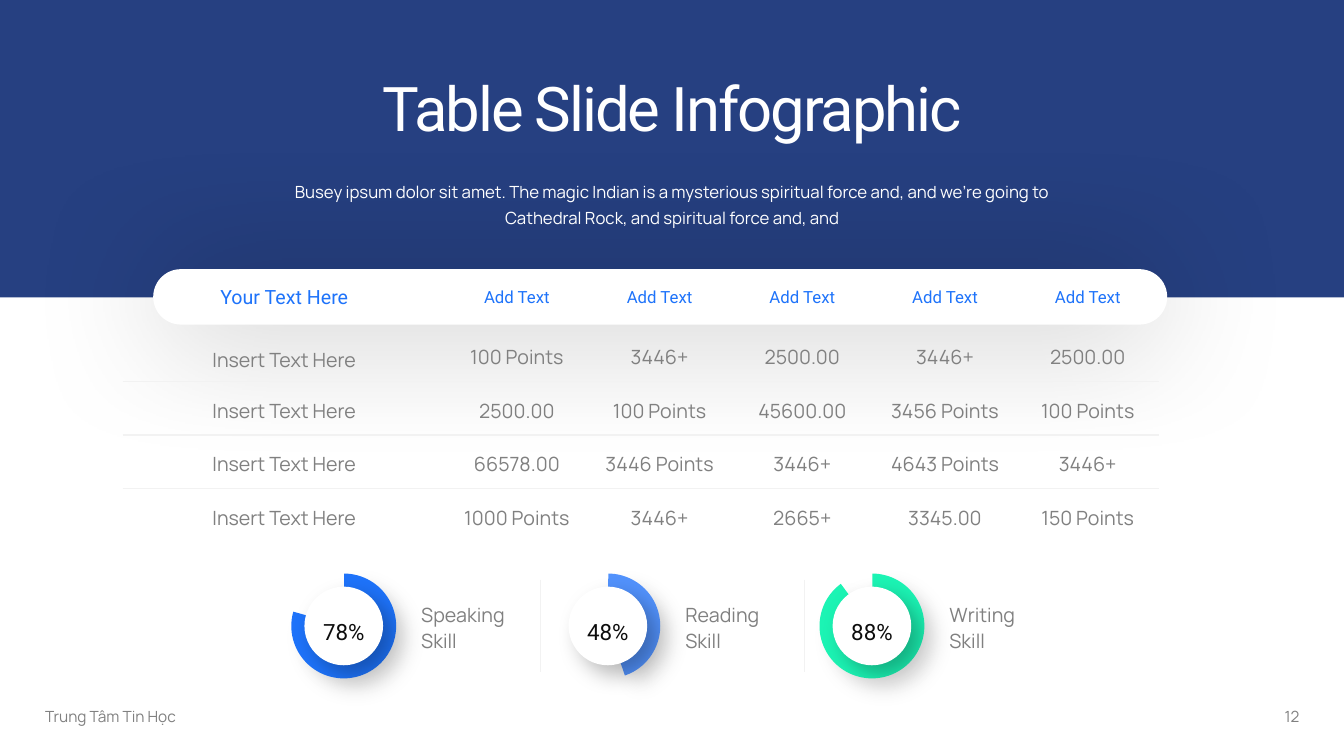
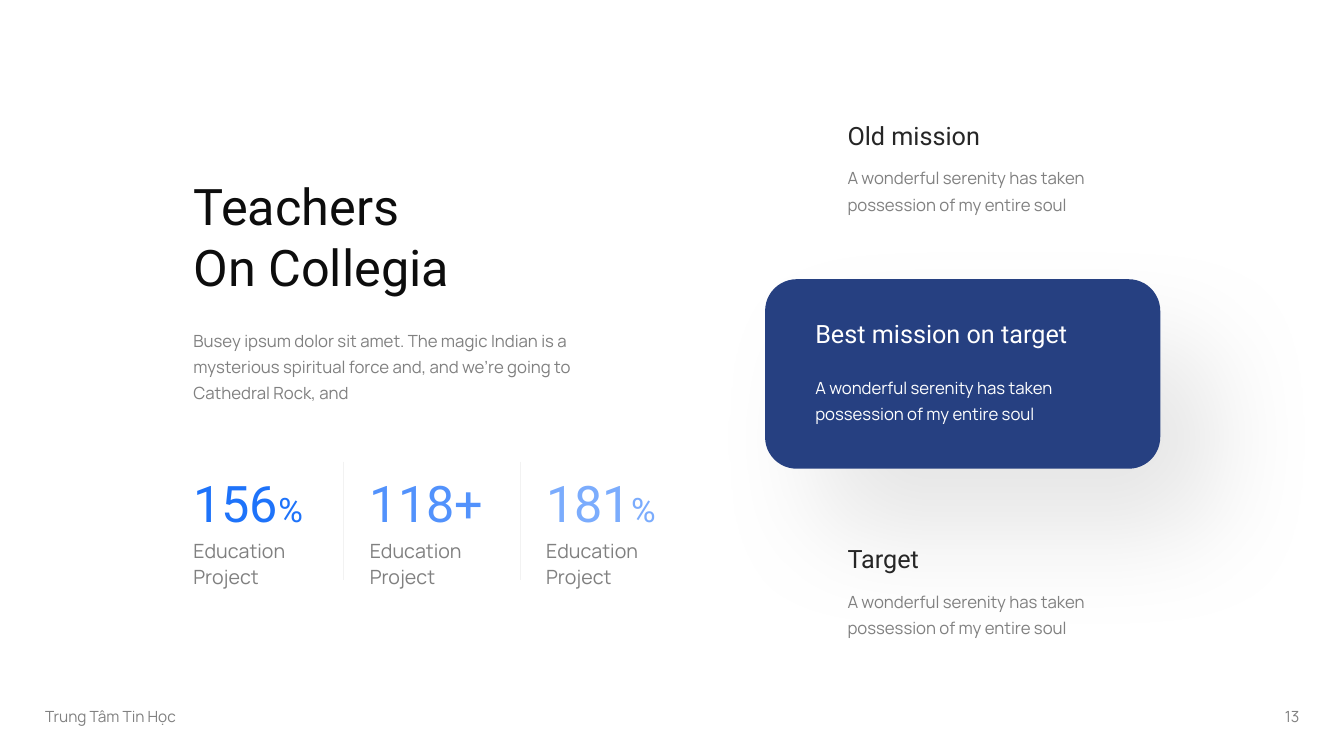
from lxml.etree import SubElement
from pptx import Presentation
from pptx.dml.color import RGBColor
from pptx.enum.shapes import MSO_CONNECTOR as Connector, MSO_SHAPE as Preset
from pptx.enum.text import MSO_ANCHOR as Anchor, MSO_AUTO_SIZE as AutoSize, PP_ALIGN as Align
from pptx.oxml import parse_xml
from pptx.oxml.ns import nsdecls, qn
from pptx.util import Inches, Pt

# Shared style
HEAD, BODY = "Roboto", "Manrope"
NAVY, BLUE, SKY, PALE, MINT = "264081", "1E73FA", "5292FC", "7BACFD", "1CF4B4"
WHITE, INK, DARK, GREY, RULE = "FFFFFF", "0D0D0D", "262626", "808080", "F2F2F2"
COLUMNS, ROWS = 133.33, 75  # grid cells of a tenth of an inch
NO_STYLE = "{2D5ABB26-0587-4C30-8999-92F81FD0307C}"


def grid(*cells):
    return [Inches(cell / 10) for cell in cells]


def color(hex_text):
    return RGBColor.from_string(hex_text)


# Text
def write(frame, text, size=12, font=BODY, ink=GREY, align=Align.LEFT,
          leading=1.0, tracking=0, anchor=Anchor.TOP):
    """Fill a frame with one paragraph; text is a string or (string, size) pairs."""
    frame.word_wrap = True
    frame.vertical_anchor = anchor
    para = frame.paragraphs[0]
    para.alignment, para.line_spacing = align, leading
    spans = [(text, size)] if isinstance(text, str) else text
    for words, points in spans:
        for number, line in enumerate(words.split("\n")):
            if number:
                para.add_line_break()
            span = para.add_run()
            span.text = line
            span.font.name, span.font.size = font, Pt(points)
            span.font.color.rgb = color(ink)
            if tracking:
                span.font._element.set("spc", str(round(tracking * 100)))


def add_text(page, text, place, **style):
    box = page.shapes.add_textbox(*grid(*place))
    write(box.text_frame, text, **style)
    box.text_frame.auto_size = AutoSize.SHAPE_TO_FIT_TEXT


def set_title(page, text, place, **style):
    title = page.shapes.title
    title.left, title.top, title.width, title.height = grid(*place)
    write(title.text_frame, text, font=HEAD, **style)
    title.text_frame.auto_size = AutoSize.NONE


# Shapes and lines
def add_shadow(shape, alpha, blur, distance, angle, stretch=100):
    effects = shape._element.spPr.find(qn("a:effectLst"))
    shadow = SubElement(effects, qn("a:outerShdw"), blurRad=str(Pt(blur)),
                        dist=str(Pt(distance)), dir=str(angle * 60000),
                        sy=str(stretch * 1000), algn="t", rotWithShape="0")
    tint = SubElement(shadow, qn("a:srgbClr"), val="000000")
    SubElement(tint, qn("a:alpha"), val=str(alpha * 1000))


def add_block(page, preset, place, fill, adjust=(), turn=0, shadow=None):
    block = page.shapes.add_shape(preset, *grid(*place))
    block.fill.solid()
    block.fill.fore_color.rgb = color(fill)
    block.line.fill.background()
    block.rotation = turn
    for number, value in enumerate(adjust):
        block.adjustments[number] = value
    block.shadow.inherit = False
    if shadow:
        add_shadow(block, *shadow)


def add_divider(page, x, top, bottom):
    line = page.shapes.add_connector(Connector.STRAIGHT, *grid(x, top, x, bottom))
    line.line.color.rgb = color(RULE)
    line.line.width = Pt(0.5)
    SubElement(line._element.spPr, qn("a:effectLst"))


def add_page(deck, number):
    page = deck.slides.add_slide(deck.slide_layouts[5])
    for text, x, align in (("Trung Tâm Tin Học", 3.5, Align.LEFT),
                           (str(number), 77.7, Align.RIGHT)):
        add_text(page, text, (x, 69.6, 52.2, 2.9), size=11, align=align, anchor=Anchor.BOTTOM)
    return page


# Table slide
def underline(cell):
    border = parse_xml(f'<a:lnB {nsdecls("a")} w="{Pt(1)}"><a:solidFill>'
                       f'<a:srgbClr val="{RULE}"/></a:solidFill></a:lnB>')
    cell._tc.get_or_add_tcPr().insert(0, border)


def add_points_table(page, rows):
    frame = page.shapes.add_table(len(rows), len(rows[0]), *grid(12.2, 26.6, 102.8, 27.2))
    table = frame.table
    table.first_row = table.horz_banding = False
    table._tbl.tblPr.find(qn("a:tableStyleId")).text = NO_STYLE
    for c, column in enumerate(table.columns):
        column.width, = grid(14.16 if c else 32)
    for r, row in enumerate(table.rows):
        row.height, = grid(5.33 if r else 5.9)
        for c, text in enumerate(rows[r]):
            cell = table.cell(r, c)
            cell.fill.background()
            if r == 0:
                style = dict(font=HEAD, ink=BLUE, size=12 if c else 14)
            else:
                style = dict(size=14, leading=1.4)
            write(cell.text_frame, text, align=Align.CENTER, **style)
            cell.vertical_anchor = Anchor.MIDDLE if r == 0 or (r, c) == (1, 0) else Anchor.TOP
            if 0 < r < len(rows) - 1:
                underline(cell)


def add_gauge(page, x, percent, label, fill, end, thickness):
    start = 180.5
    add_block(page, Preset.BLOCK_ARC, (x, 56.9, 10.4, 10.4), fill, turn=90,
              adjust=(start * 0.6, end * 0.6, thickness), shadow=(11, 14, 12, 45))
    add_block(page, Preset.OVAL, (x + 1.3, 58.2, 7.8, 7.8), WHITE, shadow=(27, 16, 10, 45))
    add_text(page, percent, (x + 0.6, 60, 9.2, 4.2), size=16, font=HEAD, ink=INK,
             align=Align.CENTER, leading=1.3)
    add_text(page, label, (x + 11.9, 59.1, 11.2, 6.1), size=14, leading=1.1)


def build_table_page(deck):
    page = add_page(deck, 12)
    add_block(page, Preset.RECTANGLE, (0, 0, COLUMNS, 29.5), NAVY)
    add_block(page, Preset.ROUNDED_RECTANGLE, (15.2, 26.7, 100.6, 5.5), WHITE,
              adjust=(0.5,), shadow=(27, 97, 4, 90, 350))
    # The band is drawn first, so the title goes above it
    title = page.shapes.title._element
    title.getparent().append(title)
    set_title(page, "Table Slide Infographic", (25.5, 7.3, 82.4, 7.7), size=44, ink=WHITE,
              align=Align.CENTER, leading=0.9, tracking=-1.5)
    add_text(page, "Busey ipsum dolor sit amet. The magic Indian is a mysterious spiritual force "
             "and, and we're going to Cathedral Rock, and spiritual force and, and",
             (25.5, 16.9, 82.4, 6), ink=WHITE, align=Align.CENTER, leading=1.3)
    name = "Insert Text Here"
    add_points_table(page, [
        ["Your Text Here"] + ["Add Text"] * 5,
        [name, "100 Points", "3446+", "2500.00", "3446+", "2500.00"],
        [name, "2500.00", "100 Points", "45600.00", "3456 Points", "100 Points"],
        [name, "66578.00", "3446 Points", "3446+", "4643 Points", "3446+"],
        [name, "1000 Points", "3446+", "2665+", "3345.00", "150 Points"],
    ])
    # Skill gauges, with a divider before each but the first
    gauges = [("78%", "Speaking Skill", BLUE, 105.8, 0.21),
              ("48%", "Reading Skill", SKY, 341, 0.27),
              ("88%", "Writing Skill", MINT, 143.5, 0.16)]
    for number, gauge in enumerate(gauges):
        x = 28.9 + 26.2 * number
        if number:
            add_divider(page, x - 1.5, 57.5, 66.7)
        add_gauge(page, x, *gauge)


# Mission slide
def add_mission(page, heading, x, top, width, gap, heading_ink, body_ink):
    add_text(page, heading, (x, top, width, 4), size=18, font=HEAD, ink=heading_ink)
    add_text(page, "A wonderful serenity has taken possession of my entire soul",
             (x, top + gap, width, 6), ink=body_ink, leading=1.3)


def build_mission_page(deck):
    page = add_page(deck, 13)
    left = 18.2
    set_title(page, "Teachers\nOn Collegia", (left, 16.9, 43.9, 13.1), size=36, ink=INK)
    add_text(page, "Busey ipsum dolor sit amet. The magic Indian is a mysterious spiritual force "
             "and, and we're going to Cathedral Rock, and", (left, 31.7, 43.9, 8.7), leading=1.3)
    # Figures
    figures = [([("156", 36), ("%", 24)], BLUE),
               ([("118+", 36)], SKY),
               ([("181", 36), ("%", 24)], PALE)]
    for number, (figure, ink) in enumerate(figures):
        x = left + 17.5 * number
        if number:
            add_divider(page, x - 1.6, 45.8, 57.5)
        add_text(page, figure, (x, 44.5, 14.4, 8.2), font=HEAD, ink=ink, leading=1.3)
        add_text(page, "Education\nProject", (x, 52.7, 14.4, 6.1), size=14, leading=1.1)
    # Missions, the middle one on a card
    add_block(page, Preset.ROUNDED_RECTANGLE, (75.9, 27.7, 39.2, 18.8), NAVY,
              shadow=(10, 80, 60, 50))
    add_mission(page, "Old mission", 83.1, 11.4, 26, 4.2, DARK, GREY)
    add_mission(page, "Best mission on target", 79.9, 31.1, 32.4, 5.3, WHITE, WHITE)
    add_mission(page, "Target", 83.1, 53.4, 26, 4.2, DARK, GREY)


def main():
    deck = Presentation()
    deck.slide_width, deck.slide_height = grid(COLUMNS, ROWS)
    build_table_page(deck)
    build_mission_page(deck)
    deck.save("out.pptx")


if __name__ == "__main__":
    main()
